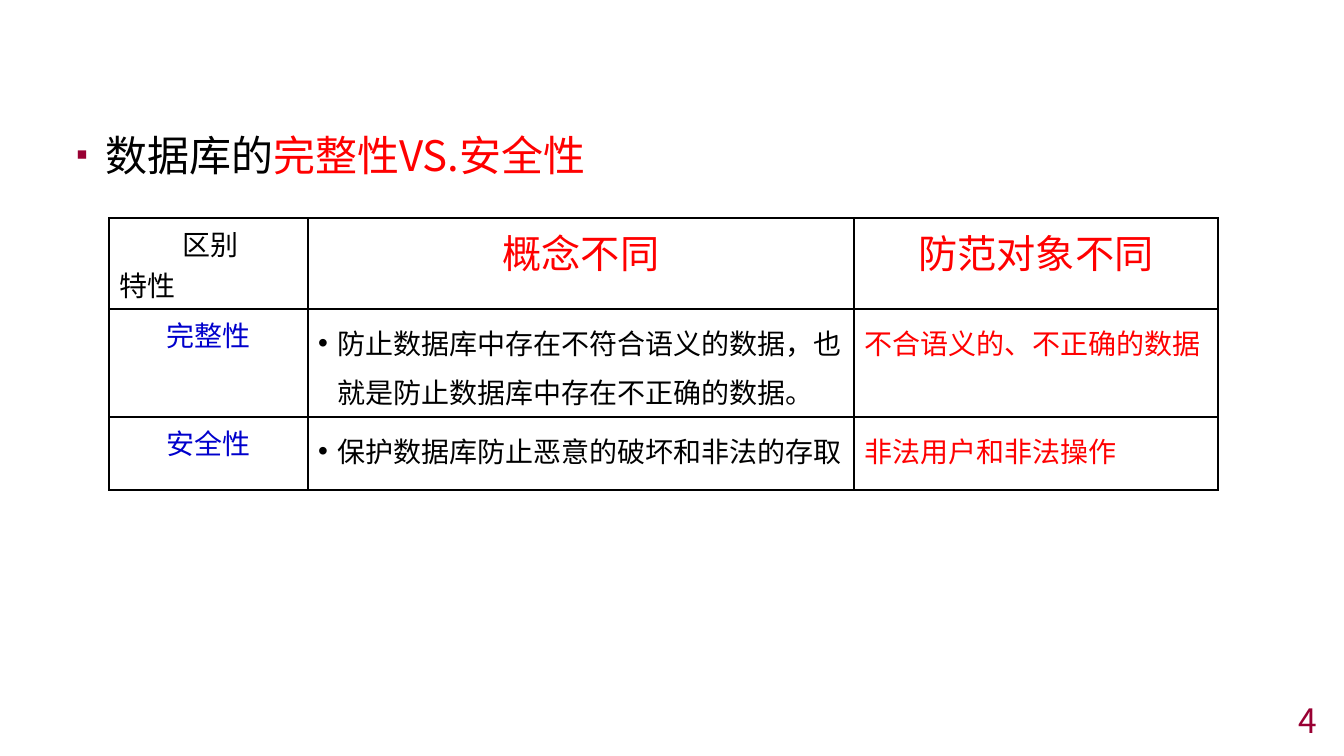
from dataclasses import dataclass

from lxml import etree
from pptx import Presentation
from pptx.dml.color import RGBColor
from pptx.enum.text import MSO_ANCHOR, MSO_AUTO_SIZE, PP_ALIGN
from pptx.oxml.ns import qn
from pptx.util import Emu, Pt

LEFT, CENTER, RIGHT = PP_ALIGN.LEFT, PP_ALIGN.CENTER, PP_ALIGN.RIGHT
MIDDLE = MSO_ANCHOR.MIDDLE
NO_FIT = MSO_AUTO_SIZE.NONE

EMU_PER_PX = 914400 / 100.8
FONT = "Noto Sans CJK SC"
BULLET_FONT = "Arial"
COLORS = {
    "black": "000000",
    "white": "FFFFFF",
    "red": "FF0000",
    "blue": "0000CC",
    "maroon": "990033",
}


@dataclass(frozen=True)
class Run:
    text: str
    size: int = 20
    color: str = "black"


@dataclass(frozen=True)
class Bullet:
    char: str
    color: str
    percent: int = 100


@dataclass(frozen=True)
class Para:
    runs: tuple[Run, ...]
    align: PP_ALIGN = LEFT
    spacing: float = 1.0
    before: int = 0
    indent: int = 0
    bullet: Bullet | None = None


def px(n: int) -> Emu:
    return Emu(round(n * EMU_PER_PX))


def rgb(name: str) -> RGBColor:
    return RGBColor.from_string(COLORS[name])


def place(sp, left: int, top: int, width: int, height: int) -> None:
    sp.left, sp.top, sp.width, sp.height = map(px, (left, top, width, height))


def add_bullet(pPr, bullet: Bullet) -> None:
    clr = etree.SubElement(pPr, qn("a:buClr"))
    etree.SubElement(clr, qn("a:srgbClr"), val=COLORS[bullet.color])
    etree.SubElement(pPr, qn("a:buSzPct"), val=str(bullet.percent * 1000))
    etree.SubElement(pPr, qn("a:buFont"), typeface=BULLET_FONT)
    etree.SubElement(pPr, qn("a:buChar"), char=bullet.char)


def write(tf, paras: tuple[Para, ...]) -> None:
    tf.word_wrap = True
    for i, para in enumerate(paras):
        p = tf.paragraphs[0] if i == 0 else tf.add_paragraph()
        p.alignment = para.align
        p.line_spacing = para.spacing
        p.space_before = Pt(para.before)
        pPr = p._p.get_or_add_pPr()
        pPr.set("marL", str(px(para.indent)))
        pPr.set("indent", str(px(-para.indent if para.bullet else 0)))
        if para.bullet:
            add_bullet(pPr, para.bullet)
        for run in para.runs:
            r = p.add_run()
            r.text = run.text
            r.font.size = Pt(run.size)
            r.font.name = FONT
            r.font.color.rgb = rgb(run.color)
            etree.SubElement(r._r.get_or_add_rPr(), qn("a:ea"), typeface=FONT)


def add_borders(cell) -> None:
    tcPr = cell._tc.get_or_add_tcPr()
    for i, side in enumerate(("lnL", "lnR", "lnT", "lnB")):
        ln = etree.Element(qn(f"a:{side}"), w=str(Pt(1)))
        fill = etree.SubElement(ln, qn("a:solidFill"))
        etree.SubElement(fill, qn("a:srgbClr"), val=COLORS["black"])
        tcPr.insert(i, ln)


def header(text: str) -> tuple[Para, ...]:
    return (Para((Run(text, 28, "red"),), CENTER),)


def feature(name: str, concept: str, target: str) -> tuple[tuple[Para, ...], ...]:
    dot = Bullet("•", "black")
    return (
        (Para((Run(name, color="blue"),), CENTER),),
        (Para((Run(concept),), spacing=1.2, indent=19, bullet=dot),),
        (Para((Run(target, color="red"),), spacing=1.2),),
    )


COL_WIDTHS = (199, 546, 364)
ROW_HEIGHTS = (91, 108, 73)
CELLS = (
    (
        (Para((Run("区别"),), indent=63), Para((Run("特性"),))),
        header("概念不同"),
        header("防范对象不同"),
    ),
    feature(
        "完整性",
        "防止数据库中存在不符合语义的数据，也就是防止数据库中存在不正确的数据。",
        "不合语义的、不正确的数据",
    ),
    feature("安全性", "保护数据库防止恶意的破坏和非法的存取", "非法用户和非法操作"),
)
TOPIC = Para(
    (Run("数据库的", 30), Run("完整性VS.安全性", 30, "red")),
    spacing=1.14,
    before=6,
    indent=29,
    bullet=Bullet("▪", "maroon", 80),
)


def add_comparison(s, left: int, top: int) -> None:
    frame = s.shapes.add_table(
        len(ROW_HEIGHTS), len(COL_WIDTHS), px(left), px(top),
        px(sum(COL_WIDTHS)), px(sum(ROW_HEIGHTS)),
    )
    table = frame.table
    table.first_row = table.horz_banding = False
    for col, width in zip(table.columns, COL_WIDTHS):
        col.width = px(width)
    for row, height, contents in zip(table.rows, ROW_HEIGHTS, CELLS):
        row.height = px(height)
        for cell, paras in zip(row.cells, contents):
            cell.fill.solid()
            cell.fill.fore_color.rgb = rgb("white")
            add_borders(cell)
            write(cell.text_frame, paras)


def main() -> None:
    prs = Presentation()
    prs.slide_width, prs.slide_height = px(1344), px(756)
    s = prs.slides.add_slide(prs.slide_layouts[1])
    title = s.shapes.title._element
    title.getparent().remove(title)

    body = s.placeholders[1]
    place(body, 66, 117, 1214, 603)
    body.text_frame.auto_size = NO_FIT
    write(body.text_frame, (TOPIC,))

    number = s.shapes.add_textbox(0, 0, 0, 0)
    place(number, 1042, 705, 285, 31)
    number.text_frame.vertical_anchor = MIDDLE
    write(number.text_frame, (Para((Run("4", 24, "maroon"),), RIGHT),))

    add_comparison(s, 109, 218)
    prs.save("out.pptx")


if __name__ == "__main__":
    main()
